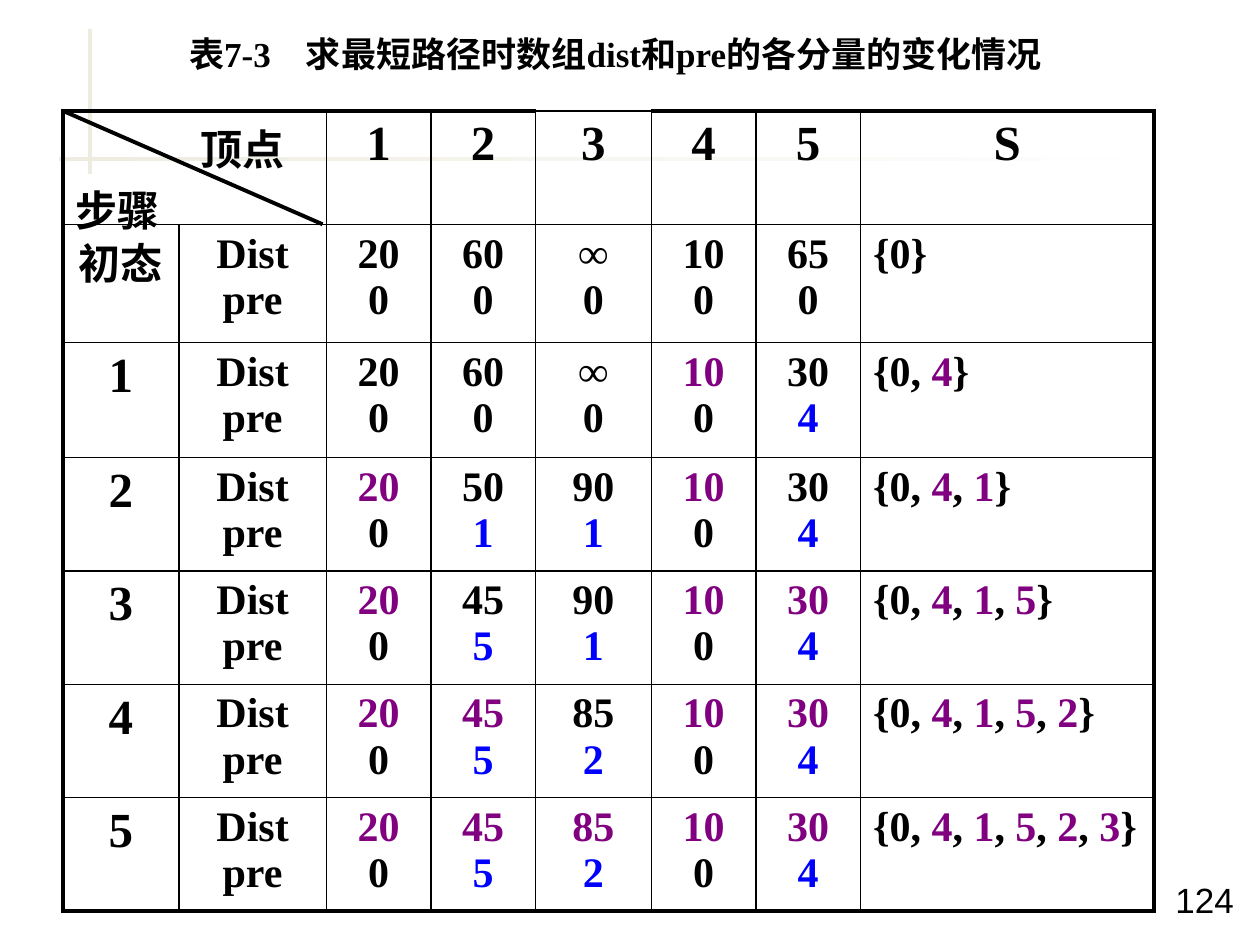
from lxml import etree
from pptx import Presentation
from pptx.dml.color import RGBColor
from pptx.enum.shapes import MSO_CONNECTOR, MSO_SHAPE
from pptx.enum.text import MSO_ANCHOR, MSO_AUTO_SIZE, PP_ALIGN
from pptx.oxml.ns import qn
from pptx.util import Inches, Pt

RECTANGLE = MSO_SHAPE.RECTANGLE
STRAIGHT = MSO_CONNECTOR.STRAIGHT
MIDDLE = MSO_ANCHOR.MIDDLE
NO_AUTOSIZE = MSO_AUTO_SIZE.NONE
LEFT, CENTER = PP_ALIGN.LEFT, PP_ALIGN.CENTER

BLACK = RGBColor(0x00, 0x00, 0x00)
WHITE = RGBColor(0xFF, 0xFF, 0xFF)
CREAM = RGBColor(0xEE, 0xEC, 0xE1)
PURPLE = RGBColor(0x80, 0x00, 0x80)
BLUE = RGBColor(0x00, 0x00, 0xFF)

SERIF, SANS = "Times New Roman", "Arial"
THICK, THIN = Pt(2.25), Pt(1)

TITLE = "表7-3　求最短路径时数组dist和pre的各分量的变化情况"
COLUMN_WIDTHS = [0.92, 1.17, 0.83, 0.83, 0.92, 0.83, 0.83, 2.33]
ROW_HEIGHTS = [0.9, 0.94, 0.91, 0.9, 0.9, 0.9, 0.9]
HEADERS = ["1", "2", "3", "4", "5", "S"]
VISIT_ORDER = [4, 1, 5, 2, 3]
STEPS = [
    ("初态", ["20", "60", "∞", "10", "65"], "00000"),
    ("1", ["20", "60", "∞", "10", "30"], "00004"),
    ("2", ["20", "50", "90", "10", "30"], "01104"),
    ("3", ["20", "45", "90", "10", "30"], "05104"),
    ("4", ["20", "45", "85", "10", "30"], "05204"),
    ("5", ["20", "45", "85", "10", "30"], "05204"),
]


def add_span(para, text, size=24, color=BLACK, font=SERIF, bold=True):
    """Append a formatted run to a paragraph."""
    span = para.add_run()
    span.text = text
    span.font.name = font
    span.font.size = Pt(size)
    span.font.bold = bold
    span.font.color.rgb = color


def write_lines(frame, lines, align=CENTER, **style):
    """Fill a text frame with paragraphs, each a list of (text, color) spans."""
    for index, spans in enumerate(lines):
        para = frame.add_paragraph() if index else frame.paragraphs[0]
        para.alignment = align
        for text, color in spans:
            add_span(para, text, color=color, **style)


def add_decoration(page):
    """Draw the crossing pale bars behind the table."""
    bars = [
        page.shapes.add_shape(RECTANGLE, *map(Inches, box))
        for box in [(0.7, 0.23, 0.03, 1.15), (0.47, 1.25, 9, 0.03)]
    ]
    for bar in bars:
        bar.shadow.inherit = False
        bar.line.fill.background()
    upright, level = bars
    upright.fill.solid()
    upright.fill.fore_color.rgb = CREAM
    level.fill.gradient()
    level.fill.gradient_angle = 0
    for stop, color in zip(level.fill.gradient_stops, (CREAM, WHITE)):
        stop.color.rgb = color


def add_title(page, left, top, width, height):
    """Place the table caption in the title placeholder."""
    title = page.shapes.title
    title.left, title.top = Inches(left), Inches(top)
    title.width, title.height = Inches(width), Inches(height)
    frame = title.text_frame
    frame.word_wrap = False
    frame.auto_size = NO_AUTOSIZE
    frame.vertical_anchor = MIDDLE
    write_lines(frame, [[(TITLE, BLACK)]], size=20)
    frame.paragraphs[0].line_spacing = 0.9


def add_page_number(page, left, top, width, height):
    """Write the page number in the lower right corner."""
    box = page.shapes.add_textbox(*map(Inches, (left, top, width, height)))
    frame = box.text_frame
    frame.word_wrap = True
    write_lines(frame, [[("124", BLACK)]], LEFT, size=20, font=SANS, bold=False)
    frame.paragraphs[0].line_spacing = 0.9


def set_borders(cell, **widths):
    """Give a cell black borders, keyed by the side letters L, R, T and B."""
    properties = cell._tc.get_or_add_tcPr()
    for side, width in widths.items():
        line = etree.SubElement(properties, qn(f"a:ln{side}"), w=str(width))
        fill = etree.SubElement(line, qn("a:solidFill"))
        etree.SubElement(fill, qn("a:srgbClr"), val=str(BLACK))


def format_grid(table):
    """Clear the cell fills and draw a thick frame around thin inner lines."""
    last_row, last_column = len(ROW_HEIGHTS) - 1, len(COLUMN_WIDTHS) - 1
    thin_top = 2 + HEADERS.index("3")
    for row in range(last_row + 1):
        for column in range(last_column + 1):
            cell = table.cell(row, column)
            set_borders(
                cell,
                L=THICK if column == 0 else THIN,
                R=THICK if column == last_column else THIN,
                T=THICK if row == 0 and column != thin_top else THIN,
                B=THICK if row == last_row else THIN,
            )
            cell.fill.background()


def fill_header(table):
    """Write the split corner cell and the column headings."""
    corner = table.cell(0, 0)
    corner.merge(table.cell(0, 1))
    write_lines(corner.text_frame, [[("顶点", BLACK)], [("步骤", BLACK)]], LEFT)
    indent = corner.text_frame.paragraphs[0]._p.get_or_add_pPr()
    indent.set("marL", str(Inches(0.99)))
    indent.set("indent", "0")
    for column, heading in enumerate(HEADERS, 2):
        write_lines(table.cell(0, column).text_frame, [[(heading, BLACK)]], size=28)


def fill_step(table, row, label, distances, parents):
    """Write one step, colouring settled vertices and changed parents."""
    settled = VISIT_ORDER[:row - 1]
    frames = [table.cell(row, column).text_frame for column in range(len(COLUMN_WIDTHS))]
    write_lines(frames[0], [[(label, BLACK)]], size=28 if label.isdigit() else 24)
    write_lines(frames[1], [[("Dist", BLACK)], [("pre", BLACK)]])
    for vertex, (distance, parent) in enumerate(zip(distances, parents), 1):
        distance_color = PURPLE if vertex in settled else BLACK
        parent_color = BLACK if parent == "0" else BLUE
        write_lines(frames[vertex + 1], [[(distance, distance_color)], [(parent, parent_color)]])
    members = [("{0", BLACK)]
    for vertex in settled:
        members += [(", ", BLACK), (str(vertex), PURPLE)]
    write_lines(frames[-1], [members + [("}", BLACK)]], LEFT)


def add_path_table(page, left, top, width, height):
    """Build the shortest path table with its diagonal corner line."""
    box = page.shapes.add_table(
        len(ROW_HEIGHTS), len(COLUMN_WIDTHS), *map(Inches, (left, top, width, height))
    )
    table = box.table
    table.first_row = table.horz_banding = False
    for column, size in zip(table.columns, COLUMN_WIDTHS):
        column.width = Inches(size)
    for row, size in zip(table.rows, ROW_HEIGHTS):
        row.height = Inches(size)
    format_grid(table)
    fill_header(table)
    for row, step in enumerate(STEPS, 1):
        fill_step(table, row, *step)

    right, bottom = left + sum(COLUMN_WIDTHS[:2]) - 0.03, top + ROW_HEIGHTS[0]
    diagonal = page.shapes.add_connector(STRAIGHT, *map(Inches, (left, top, right, bottom)))
    diagonal.line.color.rgb = BLACK
    diagonal.line.width = THICK
    etree.SubElement(diagonal._element.spPr, qn("a:effectLst"))


def main():
    """Build and save the one-slide deck."""
    deck = Presentation()
    deck.slide_width, deck.slide_height = Inches(10), Inches(7.5)
    page = deck.slides.add_slide(deck.slide_layouts[5])
    add_decoration(page)
    add_title(page, 0.75, 0.21, 8.27, 0.47)
    add_page_number(page, 9.23, 6.96, 0.78, 0.4)
    add_path_table(page, 0.5, 0.88, 8.67, 6.34)
    deck.save("out.pptx")


if __name__ == "__main__":
    main()
